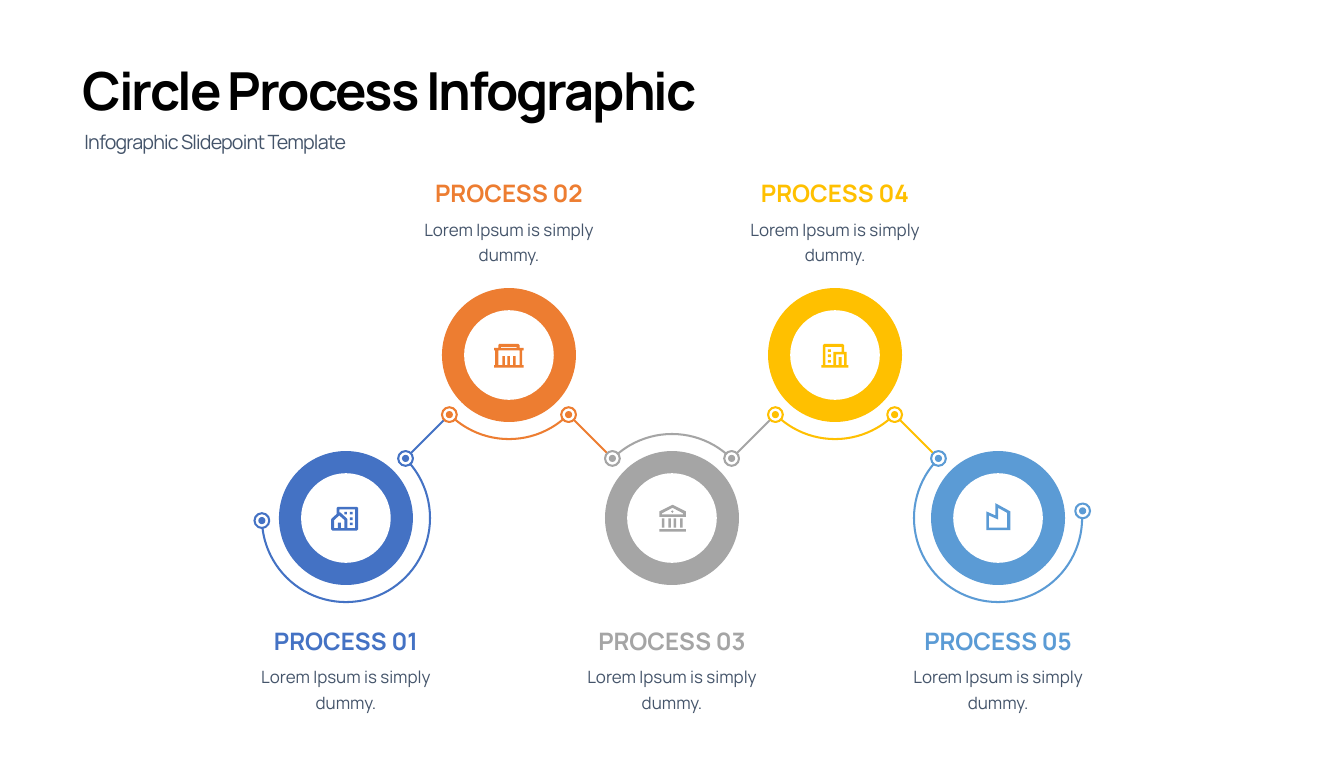
from dataclasses import dataclass
from math import cos, radians, sin

from lxml.etree import SubElement
from pptx import Presentation
from pptx.dml.color import RGBColor
from pptx.enum.shapes import MSO_CONNECTOR as Connector, MSO_SHAPE as Shape
from pptx.enum.text import MSO_ANCHOR as Anchor, PP_ALIGN as Align
from pptx.oxml.ns import qn
from pptx.util import Inches, Pt

COLORS = {
    "title": "000000", "body": "44546A", "white": "FFFFFF",
    "blue": "4472C4", "orange": "ED7D31", "gray": "A5A5A5",
    "yellow": "FFC000", "sky": "5B9BD5",
}
FONT = "Manrope"
LINE_WIDTH = 2.88

# Zigzag grid, in inches: five columns and two rows, equally spaced
PITCH = 3.2
FIRST_COLUMN, LOWER_ROW = 6.79, 10.17
DISC, HOLE, NODE, DOT = 2.63, 1.76, 0.29, 0.14
ARC_RADIUS = 1.65
NODE_OFFSET = 1.17
LINK_OFFSET = 1.27
TEXT_WIDTH = 4.03


def block(left, top, right, bottom):
    return [(left, top), (right, top), (right, bottom), (left, bottom)]


# Icon contours, in hundredths of an inch from the centre of the disc
HOME_OFFICE = [
    [(21, 25), (-26, 25), (-29, 22), (-29, 3), (-28, 1), (-18, -8), (-18, -20),
     (-16, -22), (21, -22), (24, -20), (24, 22)],
    [(-10, 20), (-3, 20), (-3, 4), (-13, -5), (-23, 4), (-23, 20), (-16, 20),
     (-16, 9), (-10, 9)],
    [(3, 20), (18, 20), (18, -17), (-13, -17), (-13, -11), (-11, -11), (2, 1), (3, 3)],
    *[block(x, y, x + 5, y + 5) for x, y in [(8, -1), (8, 9), (8, -12), (-3, -12)]],
]
MARKET = [
    [(21, -14), (29, -14), (29, -9), (26, -9), (26, 20), (29, 20), (29, 25),
     (-29, 25), (-29, 20), (-27, 20), (-27, -9), (-29, -9), (-29, -14),
     (-21, -14), (-21, -19), (-19, -22), (18, -22), (21, -19)],
    [(21, -9), (-21, -9), (-21, 20), (-13, 20), (-13, 2), (-8, 2), (-8, 20),
     (-3, 20), (-3, 2), (2, 2), (2, 20), (8, 20), (8, 2), (13, 2), (13, 20), (21, 20)],
    block(-16, -16, 15, -14),
]
BANK = [
    block(-25, 22, 27, 27),
    *[block(x, 1, x + 5, 19) for x in (-20, -7, 3, 16)],
    [(-25, -13), (1, -26), (27, -13), (27, -2), (-25, -2)],
    [(-20, -9), (-20, -7), (22, -7), (22, -9), (1, -20)],
    [(1, -10), (-2, -13), (1, -15), (3, -13)],
]
OFFICE = [
    [(26, 25), (-27, 25), (-27, 20), (-24, 20), (-24, -19), (-21, -22), (15, -22),
     (18, -19), (18, -6), (23, -6), (23, 20), (26, 20)],
    [(13, 20), (18, 20), (18, -1), (2, -1), (2, 20), (7, 20), (7, 4), (13, 4)],
    [(13, -6), (13, -16), (-19, -16), (-19, 20), (-3, 20), (-3, -6)],
    *[block(-14, y, -8, y + 5) for y in (-11, -1, 10)],
]
FACTORY = [
    [(-5, -5), (-5, -29), (24, -13), (24, 24), (-23, 24), (-23, -13)],
    [(0, -20), (0, 3), (-18, -5), (-18, 19), (18, 19), (18, -10)],
]


@dataclass
class Step:
    color: str
    icon: list
    arc: list  # start, quarter points and end in degrees, clockwise from the right
    nodes: list  # offsets from the centre of the disc


UPPER_NODES = [(-NODE_OFFSET, NODE_OFFSET), (NODE_OFFSET, NODE_OFFSET)]
STEPS = [
    Step("blue", HOME_OFFICE, [-40, 0, 90, 173], [(-1.65, 0.05), (NODE_OFFSET, -NODE_OFFSET)]),
    Step("orange", MARKET, [50, 90, 130], UPPER_NODES),
    Step("gray", BANK, [230, 270, 310], [(x, -y) for x, y in UPPER_NODES]),
    Step("yellow", OFFICE, [50, 90, 130], UPPER_NODES),
    Step("sky", FACTORY, [0, 90, 180, 220], [(-NODE_OFFSET, -NODE_OFFSET), (1.66, -0.14)]),
]


def rgb(name):
    return RGBColor.from_string(COLORS[name])


def paint(shape, fill=None, line=None):
    shape.shadow.inherit = False
    if fill:
        shape.fill.solid()
        shape.fill.fore_color.rgb = rgb(fill)
    else:
        shape.fill.background()
    if line:
        shape.line.color.rgb = rgb(line)
        shape.line.width = Pt(LINE_WIDTH)
    else:
        shape.line.fill.background()


def add_circle(page, x, y, size, **colors):
    circle = page.shapes.add_shape(Shape.OVAL, Inches(x - size / 2), Inches(y - size / 2),
                                   Inches(size), Inches(size))
    paint(circle, **colors)


def add_outline(page, x, y, contours, close=True, **colors):
    """Draw contours, given in inches from the point x, y, as one shape."""
    contours = [[(Inches(dx), Inches(dy)) for dx, dy in contour] for contour in contours]
    builder = page.shapes.build_freeform(*contours[0][0])
    for number, (start, *rest) in enumerate(contours):
        if number:
            builder.move_to(*start)
        builder.add_line_segments(rest, close=close)
    outline = builder.convert_to_shape(Inches(x), Inches(y))
    paint(outline, **colors)
    return outline


def add_arc(page, x, y, angles, color):
    """Join the points at the angles, then bend each segment into an arc."""
    points = [(ARC_RADIUS * cos(radians(a)), ARC_RADIUS * sin(radians(a))) for a in angles]
    arc = add_outline(page, x, y, [points], close=False, line=color)
    radius = str(Inches(ARC_RADIUS))
    segments = list(arc._element.spPr.iter(qn("a:lnTo")))
    for segment, start, end in zip(segments, angles, angles[1:]):
        bend = SubElement(segment.getparent(), qn("a:arcTo"), wR=radius, hR=radius,
                          stAng=str(start % 360 * 60000), swAng=str((end - start) * 60000))
        segment.getparent().replace(segment, bend)


def add_link(page, start, end, color):
    link = page.shapes.add_connector(Connector.STRAIGHT, *map(Inches, start + end))
    link.line.color.rgb = rgb(color)
    link.line.width = Pt(LINE_WIDTH)
    SubElement(link._element.spPr, qn("a:effectLst"))


def add_text(page, text, left, top, width, height, size, color, bold=False, align=Align.LEFT,
             anchor=Anchor.TOP, spacing=None, tracking=None, margins=(0.1, 0.05)):
    box = page.shapes.add_textbox(*map(Inches, (left, top, width, height)))
    frame = box.text_frame
    frame.word_wrap = True
    frame.vertical_anchor = anchor
    frame.margin_left = frame.margin_right = Inches(margins[0])
    frame.margin_top = frame.margin_bottom = Inches(margins[1])
    para = frame.paragraphs[0]
    para.alignment = align
    if spacing:
        para.line_spacing = Pt(spacing)
    span = para.add_run()
    span.text = text
    span.font.name, span.font.size, span.font.bold = FONT, Pt(size), bold
    span.font.color.rgb = rgb(color)
    if tracking:
        span._r.get_or_add_rPr().set("spc", str(round(tracking * 100)))


def center(index):
    return FIRST_COLUMN + index * PITCH, LOWER_ROW - index % 2 * PITCH


def add_step(page, index, step):
    x, y = center(index)
    color = step.color

    # Arc with its end nodes
    add_arc(page, x, y, step.arc, color)
    for dx, dy in step.nodes:
        add_circle(page, x + dx, y + dy, NODE, line=color)
        add_circle(page, x + dx, y + dy, DOT, fill=color)

    # Disc and icon
    add_circle(page, x, y, DISC, fill=color)
    add_circle(page, x, y, HOLE, fill="white")
    icon = [[(dx / 100, dy / 100) for dx, dy in contour] for contour in step.icon]
    add_outline(page, x, y, icon, fill=color)

    # Heading and description
    heading_top, body_top = (3.42, 4.13) if index % 2 else (12.22, 12.91)
    left = x - TEXT_WIDTH / 2
    common = dict(align=Align.CENTER, margins=(0.16, 0.08))
    add_text(page, f"PROCESS {index + 1:02}", left, heading_top, TEXT_WIDTH, 0.73,
             size=34, color=color, bold=True, anchor=Anchor.BOTTOM, **common)
    add_text(page, "Lorem Ipsum is simply dummy.", left, body_top, TEXT_WIDTH, 1.14,
             size=24, color="body", spacing=36, **common)


def main():
    deck = Presentation()
    deck.slide_width, deck.slide_height = Inches(26.38), Inches(14.96)
    page = deck.slides.add_slide(deck.slide_layouts[6])

    # Title and subtitle
    add_text(page, "Circle Process Infographic", 1.52, 1.02, 20.24, 1.38,
             size=74, color="title", bold=True, spacing=94, tracking=-2.9)
    add_text(page, "Infographic Slidepoint Template", 1.56, 2.37, 19.24, 0.65,
             size=27.8, color="body", spacing=42, tracking=-1.2)

    # Links between neighbouring steps
    for index, step in enumerate(STEPS[:-1]):
        (x, y), (next_x, next_y) = center(index), center(index + 1)
        rise = LINK_OFFSET if next_y > y else -LINK_OFFSET
        add_link(page, (x + LINK_OFFSET, y + rise), (next_x - LINK_OFFSET, next_y - rise),
                 step.color)

    for index, step in enumerate(STEPS):
        add_step(page, index, step)
    deck.save("out.pptx")


if __name__ == "__main__":
    main()
